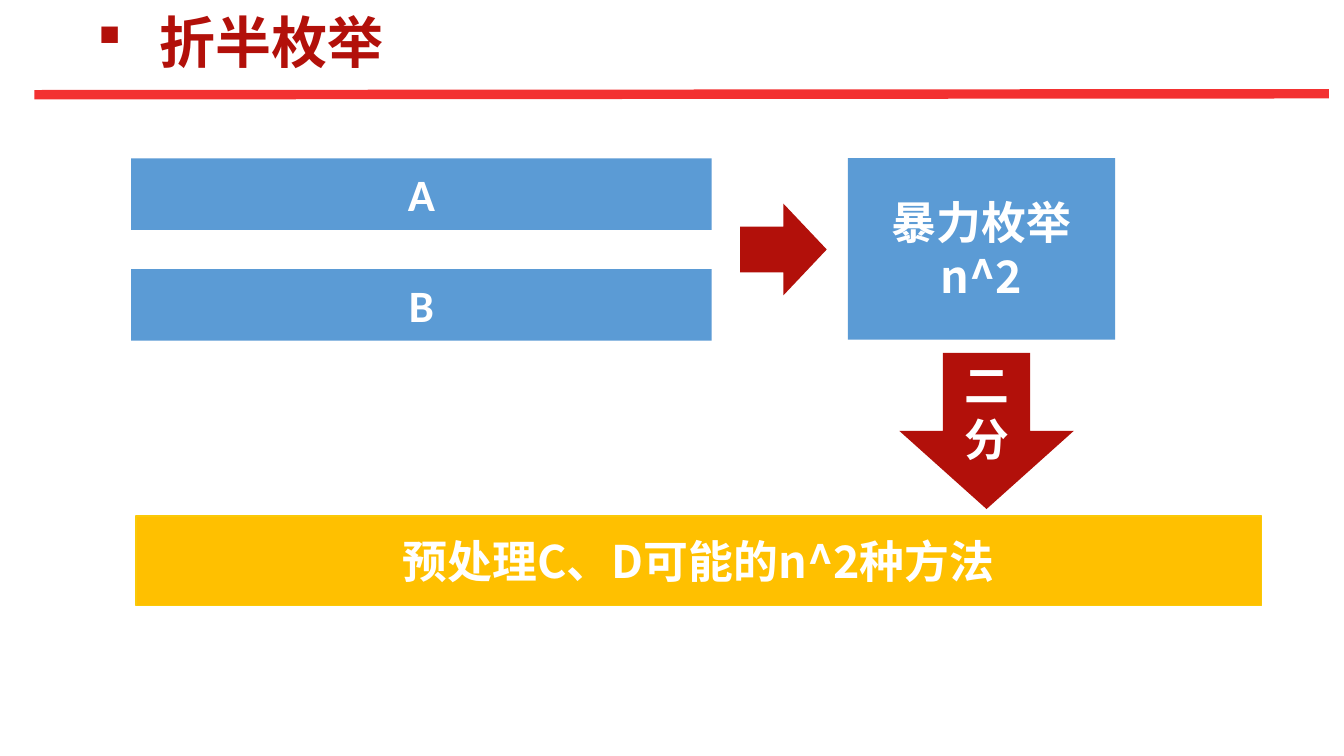
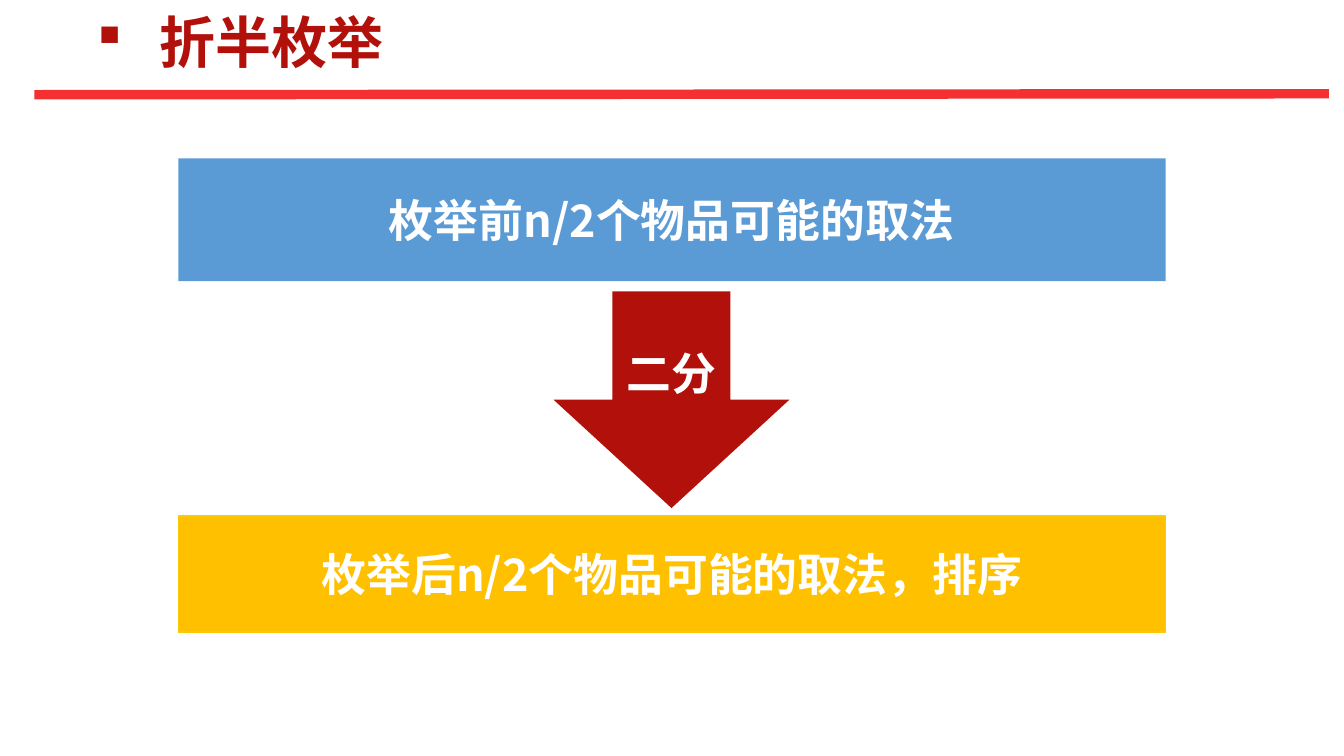
"""Build two slides that explain meet-in-the-middle enumeration."""
from dataclasses import dataclass

import pptx
import pptx.dml.color
import pptx.enum.shapes
import pptx.enum.text
import pptx.oxml
import pptx.oxml.ns
import pptx.util

PX = 9144
RED, BLUE, GOLD, WHITE = "B2100A", "5B9BD5", "FFC000", "FFFFFF"
RULE, GOLD_EDGE = "F33131", "FAC908"
CJK, LATIN = "Noto Sans CJK SC", "Calibri"
SHAPE = pptx.enum.shapes.MSO_SHAPE
ALIGN = pptx.enum.text.PP_ALIGN
ANCHOR = pptx.enum.text.MSO_ANCHOR


@dataclass(frozen=True)
class Block:
    x: int
    y: int
    w: int
    h: int
    text: str = ""
    fill: str = BLUE
    edge: str = ""
    kind: SHAPE = SHAPE.RECTANGLE
    font: str = CJK


def px(n: int) -> pptx.util.Emu:
    return pptx.util.Emu(n * PX)


def rgb(code: str) -> pptx.dml.color.RGBColor:
    return pptx.dml.color.RGBColor.from_string(code)


def add_xml(parent, tag: str, **attrs: str):
    child = pptx.oxml.ns.qn(tag)
    el = parent.makeelement(child, attrs)
    parent.append(el)
    return el


def write(tf, text: str, *, size: int = 32, color: str = WHITE, font: str = CJK,
          align=ALIGN.CENTER, anchor=ANCHOR.MIDDLE):
    tf.word_wrap = True
    tf.vertical_anchor = anchor
    p = tf.paragraphs[0]
    p.alignment = align
    r = p.add_run()
    r.text = text
    r.font.size = pptx.util.Pt(size)
    r.font.bold = True
    r.font.name = font
    r.font.color.rgb = rgb(color)
    add_xml(r.font._element, "a:ea", typeface=CJK)
    return p


def add_header(slide, text: str) -> None:
    line = slide.shapes.add_connector(
        pptx.enum.shapes.MSO_CONNECTOR.STRAIGHT, px(34), px(94), px(1318), px(93))
    line.line.color.rgb = rgb(RULE)
    line.line.width = pptx.util.Pt(6.75)
    add_xml(line._element.spPr, "a:effectLst")

    sp = slide.shapes.title
    sp.left, sp.top, sp.width, sp.height = px(86), px(10), px(546), px(77)
    tf = sp.text_frame
    p = write(tf, text, size=40, color=RED, align=ALIGN.LEFT, anchor=ANCHOR.TOP)
    tf.auto_size = pptx.enum.text.MSO_AUTO_SIZE.SHAPE_TO_FIT_TEXT
    p.line_spacing = 0.9
    pPr = p._p.get_or_add_pPr()
    pPr.set("marL", str(px(62)))
    pPr.set("indent", str(px(-62)))
    add_xml(pPr, "a:buFont", typeface="Wingdings")
    add_xml(pPr, "a:buChar", char="§")


def add_block(slide, b: Block) -> None:
    sp = slide.shapes.add_shape(b.kind, px(b.x), px(b.y), px(b.w), px(b.h))
    sp.shadow.inherit = False
    sp.fill.solid()
    sp.fill.fore_color.rgb = rgb(b.fill)
    if b.edge:
        sp.line.color.rgb = rgb(b.edge)
        sp.line.width = pptx.util.Pt(1)
    else:
        sp.line.fill.background()
    if b.text:
        write(sp.text_frame, b.text, font=b.font)


SLIDES = [
    [
        *(Block(130, 157 + 110 * i, 576, 71, name, font=LATIN)
          for i, name in enumerate("AB")),
        Block(135, 512, 1116, 89, "预处理C、D可能的n^2种方法", GOLD, GOLD_EDGE),
        Block(841, 157, 265, 180, "暴力枚举n^2"),
        Block(734, 202, 86, 91, fill=RED, kind=SHAPE.RIGHT_ARROW),
        Block(892, 350, 173, 155, "二分", RED, kind=SHAPE.DOWN_ARROW),
    ],
    [
        Block(177, 157, 979, 122, "枚举前n/2个物品可能的取法"),
        Block(549, 289, 234, 215, "二分", RED, kind=SHAPE.DOWN_ARROW),
        Block(177, 512, 979, 115, "枚举后n/2个物品可能的取法，排序", GOLD, GOLD_EDGE),
    ],
]


def main() -> None:
    prs = pptx.Presentation()
    prs.slide_width, prs.slide_height = px(1333), px(750)
    for blocks in SLIDES:
        slide = prs.slides.add_slide(prs.slide_layouts[5])
        add_header(slide, "折半枚举")
        for b in blocks:
            add_block(slide, b)
    prs.save("out.pptx")


if __name__ == "__main__":
    main()
